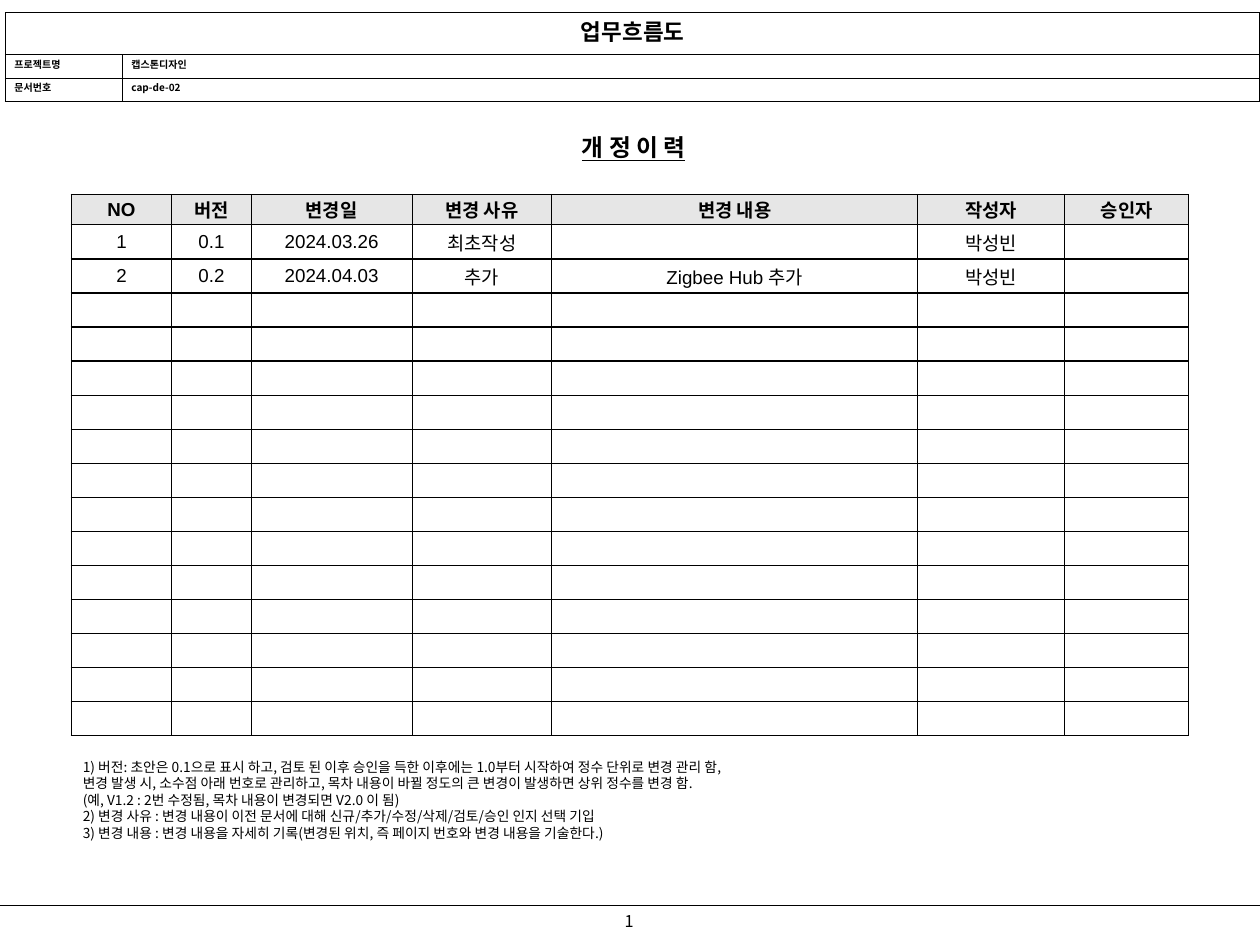
import pptx
import pptx.util
import pptx.dml.color
import pptx.enum.shapes
import pptx.enum.text
import pptx.oxml.ns
import lxml.etree

Inches = pptx.util.Inches
Pt = pptx.util.Pt
ALIGN = pptx.enum.text.PP_ALIGN
ANCHOR = pptx.enum.text.MSO_ANCHOR

COLORS = {"ink": "000000", "paper": "FFFFFF", "heading": "E6E6E6"}
KOREAN = "Noto Sans CJK KR"
LATIN = "Arial"
WIDTH, HEIGHT = 14, 10.5

DOCUMENT_TITLE = "업무흐름도"
DOCUMENT_FIELDS = [("프로젝트명", "캡스톤디자인"), ("문서번호", "cap-de-02")]
PAGE_TITLE = "개 정 이 력"
HISTORY = [
    ("NO", "버전", "변경일", "변경 사유", "변경 내용", "작성자", "승인자"),
    ("1", "0.1", "2024.03.26", "최초작성", "", "박성빈", ""),
    ("2", "0.2", "2024.04.03", "추가", "Zigbee Hub 추가", "박성빈", ""),
]
HISTORY_COLUMNS = [1.12, 0.88, 1.79, 1.55, 4.07, 1.63, 1.38]
BLANK_ROWS = 13
NOTES = [
    "1) 버전: 초안은 0.1으로 표시 하고, 검토 된 이후 승인을 득한 이후에는 1.0부터 시작하여 정수 단위로 변경 관리 함,",
    "변경 발생 시, 소수점 아래 번호로 관리하고, 목차 내용이 바뀔 정도의 큰 변경이 발생하면 상위 정수를 변경 함.",
    "(예, V1.2 : 2번 수정됨, 목차 내용이 변경되면 V2.0 이 됨)",
    "2) 변경 사유 : 변경 내용이 이전 문서에 대해 신규/추가/수정/삭제/검토/승인 인지 선택 기입",
    "3) 변경 내용 : 변경 내용을 자세히 기록(변경된 위치, 즉 페이지 번호와 변경 내용을 기술한다.)",
]
PAGE_NUMBER = "1"


def color(name):
    return pptx.dml.color.RGBColor.from_string(COLORS[name])


def write(para, text, size, font=KOREAN, bold=False, underline=False, align=ALIGN.LEFT):
    para.alignment = align
    span = para.add_run()
    span.text = text
    span.font.size = Pt(size)
    span.font.name = font
    span.font.bold = bold
    span.font.underline = underline
    span.font.color.rgb = color("ink")
    east = lxml.etree.SubElement(span._r.get_or_add_rPr(), pptx.oxml.ns.qn("a:ea"))
    east.set("typeface", KOREAN)


def prepare(box, left, top, width, height, anchor=ANCHOR.TOP, wrap=True):
    box.left, box.top, box.width, box.height = map(Inches, (left, top, width, height))
    frame = box.text_frame
    frame.word_wrap = wrap
    frame.auto_size = pptx.enum.text.MSO_AUTO_SIZE.NONE
    frame.vertical_anchor = anchor
    frame.margin_left = frame.margin_right = Inches(0.13)
    frame.margin_top = frame.margin_bottom = Inches(0.07)
    return frame


def style_cell(cell, fill, margins, anchor):
    cell.margin_left = cell.margin_right = Inches(margins[0])
    cell.margin_top = cell.margin_bottom = Inches(margins[1])
    cell.vertical_anchor = anchor
    properties = cell._tc.get_or_add_tcPr()
    for side in ("lnL", "lnR", "lnT", "lnB"):
        properties.append(pptx.oxml.parse_xml(
            f'<a:{side} {pptx.oxml.ns.nsdecls("a")} w="12700"><a:solidFill>'
            f'<a:srgbClr val="{COLORS["ink"]}"/></a:solidFill></a:{side}>'))
    cell.fill.solid()
    cell.fill.fore_color.rgb = color(fill)


def add_grid(page, left, top, columns, rows, margins, anchor, heading):
    frame = page.shapes.add_table(len(rows), len(columns), Inches(left), Inches(top),
                                  Inches(sum(columns)), Inches(sum(rows)))
    table = frame.table
    table.first_row = table.horz_banding = False
    for column, width in zip(table.columns, columns):
        column.width = Inches(width)
    for index, (row, height) in enumerate(zip(table.rows, rows)):
        row.height = Inches(height)
        for cell in row.cells:
            style_cell(cell, "paper" if index else heading, margins, anchor)
    return table


def add_history(page):
    rows = [0.34] + [0.378] * (len(HISTORY) - 1 + BLANK_ROWS)
    table = add_grid(page, 0.79, 2.16, HISTORY_COLUMNS, rows, (0.09, 0),
                     ANCHOR.MIDDLE, "heading")
    for row, texts in enumerate(HISTORY):
        for column, text in enumerate(texts):
            if text:
                write(table.cell(row, column).text_frame.paragraphs[0], text, 15,
                      LATIN, bold=row == 0, align=ALIGN.CENTER)


def add_document_header(page):
    table = add_grid(page, 0.06, 0.14, [1.3, 12.64], [0.47, 0.26, 0.26], (0.1, 0.02),
                     ANCHOR.TOP, "paper")
    table.cell(0, 0).merge(table.cell(0, 1))
    write(table.cell(0, 0).text_frame.paragraphs[0], DOCUMENT_TITLE, 18,
          bold=True, align=ALIGN.CENTER)
    for row, texts in enumerate(DOCUMENT_FIELDS, 1):
        for column, text in enumerate(texts):
            write(table.cell(row, column).text_frame.paragraphs[0], text, 8, bold=True)


def add_notes(page):
    frame = prepare(page.placeholders[1], 0.79, 8.36, 12.42, 1.06)
    for index, text in enumerate(NOTES):
        para = frame.paragraphs[0] if index == 0 else frame.add_paragraph()
        para.space_before = Pt(0)
        para.line_spacing = Pt(13.2)
        properties = para._p.get_or_add_pPr()
        properties.set("marL", "0")
        properties.set("indent", "0")
        lxml.etree.SubElement(properties, pptx.oxml.ns.qn("a:buNone"))
        write(para, text, 11)


def add_footer(page):
    top = 10.06
    rule = page.shapes.add_connector(pptx.enum.shapes.MSO_CONNECTOR.STRAIGHT,
                                     0, Inches(top), Inches(WIDTH), Inches(top))
    rule.line.color.rgb = color("ink")
    rule.line.width = Pt(1)
    lxml.etree.SubElement(rule._element.spPr, pptx.oxml.ns.qn("a:effectLst"))
    number = page.shapes.add_textbox(0, 0, 0, 0)
    frame = prepare(number, 6.72, top, 0.54, 0.35, wrap=False)
    write(frame.paragraphs[0], PAGE_NUMBER, 13, align=ALIGN.CENTER)


def main():
    deck = pptx.Presentation()
    deck.slide_width, deck.slide_height = Inches(WIDTH), Inches(HEIGHT)
    page = deck.slides.add_slide(deck.slide_layouts[1])
    add_footer(page)
    title = prepare(page.shapes.title, 5.82, 1.4, 2.44, 0.47, ANCHOR.MIDDLE)
    write(title.paragraphs[0], PAGE_TITLE, 19, bold=True, underline=True, align=ALIGN.CENTER)
    add_history(page)
    add_notes(page)
    add_document_header(page)
    deck.save("out.pptx")


if __name__ == "__main__":
    main()
